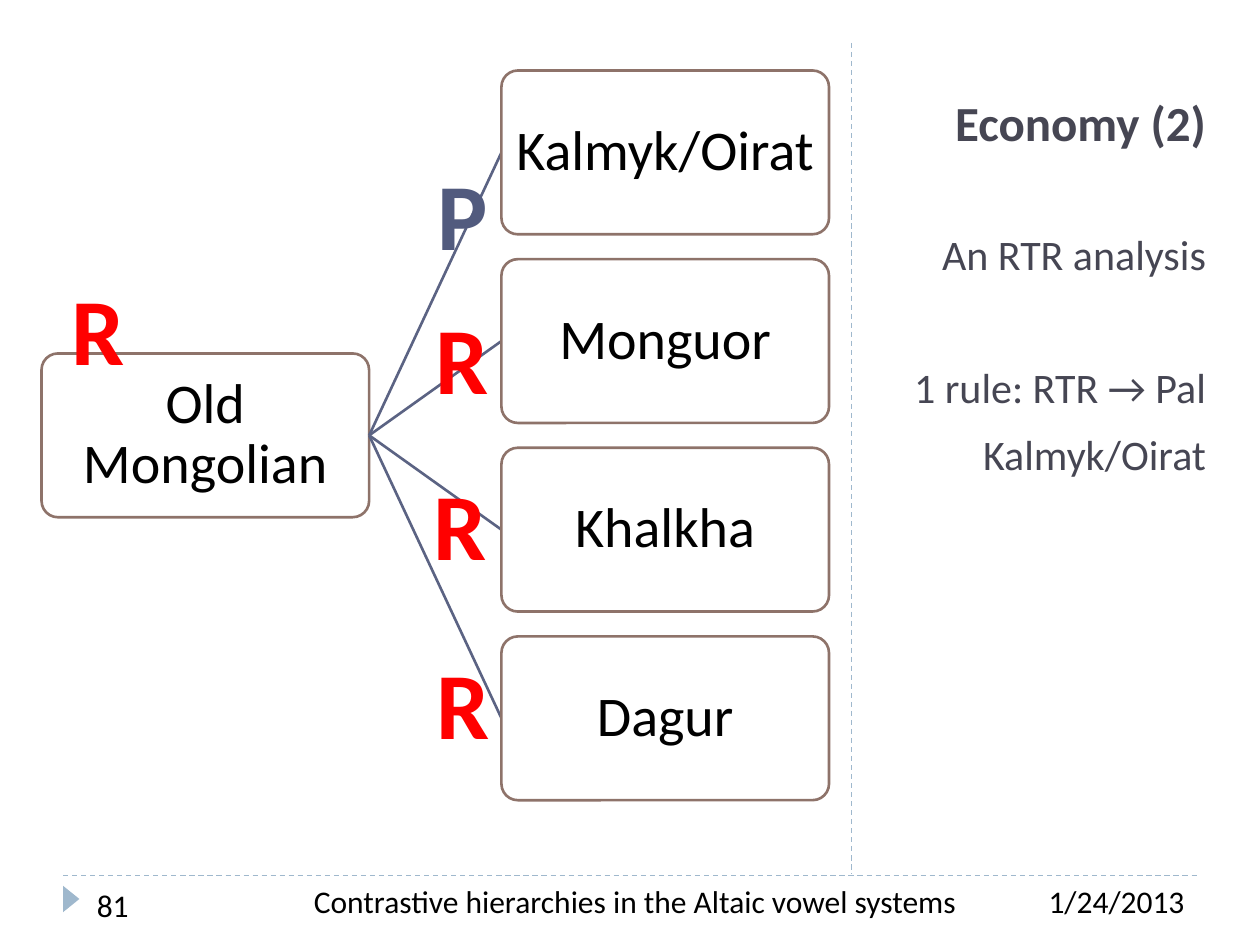
"""Builds a slide of a sound-change tree with a side panel."""
from lxml.etree import SubElement
from pptx import Presentation
from pptx.dml.color import RGBColor
from pptx.enum.dml import MSO_LINE
from pptx.enum.shapes import MSO_CONNECTOR, MSO_SHAPE
from pptx.enum.text import MSO_ANCHOR, PP_ALIGN
from pptx.oxml.ns import qn
from pptx.util import Inches, Pt

BLACK = RGBColor(0x00, 0x00, 0x00)
WHITE = RGBColor(0xFF, 0xFF, 0xFF)
SLATE = RGBColor(0x46, 0x46, 0x53)
BROWN = RGBColor(0x8E, 0x73, 0x6A)
INDIGO = RGBColor(0x5B, 0x63, 0x83)
NAVY = RGBColor(0x52, 0x5B, 0x7E)
SKY = RGBColor(0x9F, 0xB8, 0xCD)
RED = RGBColor(0xFF, 0x00, 0x00)

COLS, ROWS = 100, 75
NODE_W, NODE_H = 26, 13
ROOT_X, LEAF_X = 3.3, 39.8
LEAF_Y, STEP = 5.6, 14.97
LEAVES = ["Kalmyk/Oirat", "Monguor", "Khalkha", "Dagur"]
MARKS = [
    ("R", 4.2, 21, RED),
    ("P", 33.2, 11.9, NAVY),
    ("R", 33.1, 23.3, RED),
    ("R", 33, 36.5, RED),
    ("R", 33.2, 50.7, RED),
]
FOOTER = [
    ("1/24/2013", 80.7, 69.5, 14.3, PP_ALIGN.RIGHT),
    ("Contrastive hierarchies in the Altaic vowel systems", 20.1, 69.5, 60.6, PP_ALIGN.CENTER),
    ("81", 6.7, 69.8, 13.4, PP_ALIGN.LEFT),
]
NOTES = [("An RTR analysis", 6), ("1 rule: RTR → Pal", 44), ("Kalmyk/Oirat", 6)]


class Board:
    """Holds the style and the current slide, placed on a grid of columns and rows."""

    font = "Calibri"

    def __init__(self, deck):
        """Adds a title-only slide and measures its grid."""
        self.slide = deck.slides.add_slide(deck.slide_layouts[5])
        self.shapes = self.slide.shapes
        self.col = deck.slide_width / COLS
        self.row = deck.slide_height / ROWS

    def area(self, x, y, w, h):
        """Turns grid columns and rows into lengths."""
        return [round(v) for v in (x * self.col, y * self.row, w * self.col, h * self.row)]

    def style(self, frame, text, size, color, align, bold=False):
        """Sets the text of a frame and formats each run."""
        frame.text = text
        for para in frame.paragraphs:
            para.alignment = align
            for run in para.runs:
                run.font.name, run.font.size = self.font, Pt(size)
                run.font.bold, run.font.color.rgb = bold, color

    def title(self, text, *area):
        """Moves and fills the title placeholder."""
        head = self.shapes.title
        head.left, head.top, head.width, head.height = self.area(*area)
        head.text_frame.vertical_anchor = MSO_ANCHOR.BOTTOM
        self.style(head.text_frame, text, 28, SLATE, PP_ALIGN.RIGHT, True)

    def text(self, text, area, size, color, align, bold=False, wrap=True):
        """Adds a text box and returns its frame."""
        frame = self.shapes.add_textbox(*self.area(*area)).text_frame
        frame.word_wrap = wrap
        self.style(frame, text, size, color, align, bold)
        return frame

    def notes(self, items, *area):
        """Adds the side text with its own gap above each line."""
        lines = "\n".join(text for text, gap in items)
        frame = self.text(lines, area, 24, SLATE, PP_ALIGN.RIGHT)
        for para, (text, gap) in zip(frame.paragraphs, items):
            para.line_spacing = Pt(22)
            para.space_before, para.space_after = Pt(gap), Pt(10)

    def line(self, x1, y1, x2, y2, color, width, dash=None):
        """Adds a straight line between two grid points."""
        ends = self.area(x1, y1, x2, y2)
        link = self.shapes.add_connector(MSO_CONNECTOR.STRAIGHT, *ends)
        link.line.color.rgb, link.line.width = color, Pt(width)
        link.line.dash_style = dash
        SubElement(link._element.spPr, qn("a:effectLst"))

    def shape(self, kind, area, fill):
        """Adds a flat preset shape."""
        item = self.shapes.add_shape(kind, *self.area(*area))
        item.shadow.inherit = False
        item.fill.solid()
        item.fill.fore_color.rgb = fill
        item.line.fill.background()
        return item

    def node(self, text, x, y):
        """Adds a rounded box of the tree."""
        box = self.shape(MSO_SHAPE.ROUNDED_RECTANGLE, (x, y, NODE_W, NODE_H), WHITE)
        box.adjustments[0] = 0.1
        box.line.color.rgb, box.line.width = BROWN, Pt(1.5)
        frame = box.text_frame
        frame.word_wrap = True
        frame.vertical_anchor = MSO_ANCHOR.MIDDLE
        frame.margin_left = frame.margin_right = Inches(0.02)
        frame.margin_top = frame.margin_bottom = Inches(0.02)
        self.style(frame, text, 32, BLACK, PP_ALIGN.CENTER)
        frame.paragraphs[0].line_spacing = 0.9

    def tree(self, root, leaves):
        """Adds the root, the leaves and the lines that join them."""
        top = LEAF_Y + STEP * (len(leaves) - 1) / 2
        self.node(root, ROOT_X, top)
        for i, leaf in enumerate(leaves):
            y = LEAF_Y + STEP * i
            start = ROOT_X + NODE_W, top + NODE_H / 2
            self.line(*start, LEAF_X, y + NODE_H / 2, INDIGO, 1.5)
            self.node(leaf, LEAF_X, y)


def main():
    """Builds and saves the slide."""
    deck = Presentation()
    deck.slide_width, deck.slide_height = Inches(10), Inches(7.5)
    board = Board(deck)
    board.line(5, 69.5, 95, 69.5, SKY, 0.75, MSO_LINE.DASH)
    board.line(67.6, 3.4, 67.6, 69.4, SKY, 0.75, MSO_LINE.DASH)
    board.shape(MSO_SHAPE.ISOSCELES_TRIANGLE, (4.6, 70.7, 2.1, 1.3), SKY).rotation = 90
    board.title("Economy (2)", 69.2, 3.3, 27.5, 9.2)
    board.notes(NOTES, 69.2, 18.6, 27.5, 47.7)
    board.tree("Old Mongolian", LEAVES)
    for text, x, y, w, align in FOOTER:
        board.text(text, (x, y, w, 4), 18, BLACK, align)
    for text, x, y, color in MARKS:
        board.text(text, (x, y, 7.1, 10.1), 54, color, PP_ALIGN.CENTER, True, False)
    deck.save("out.pptx")


if __name__ == "__main__":
    main()
